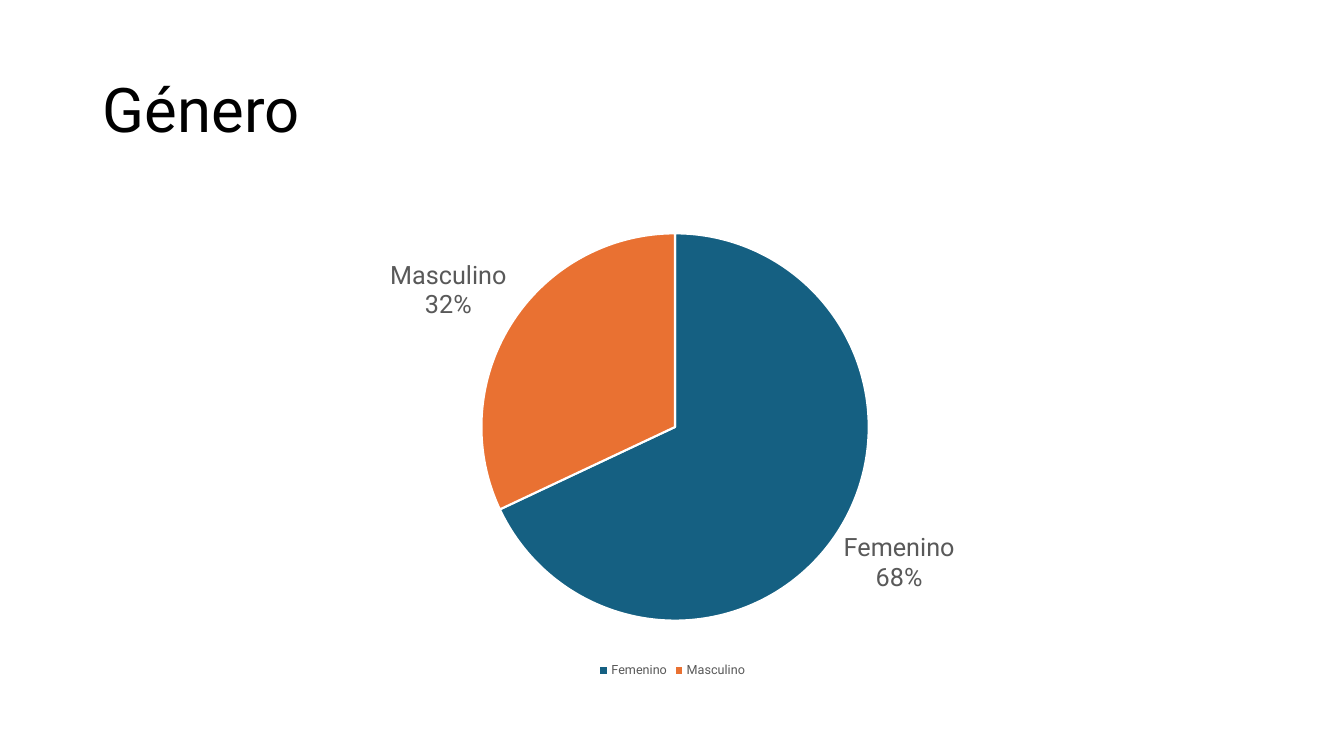
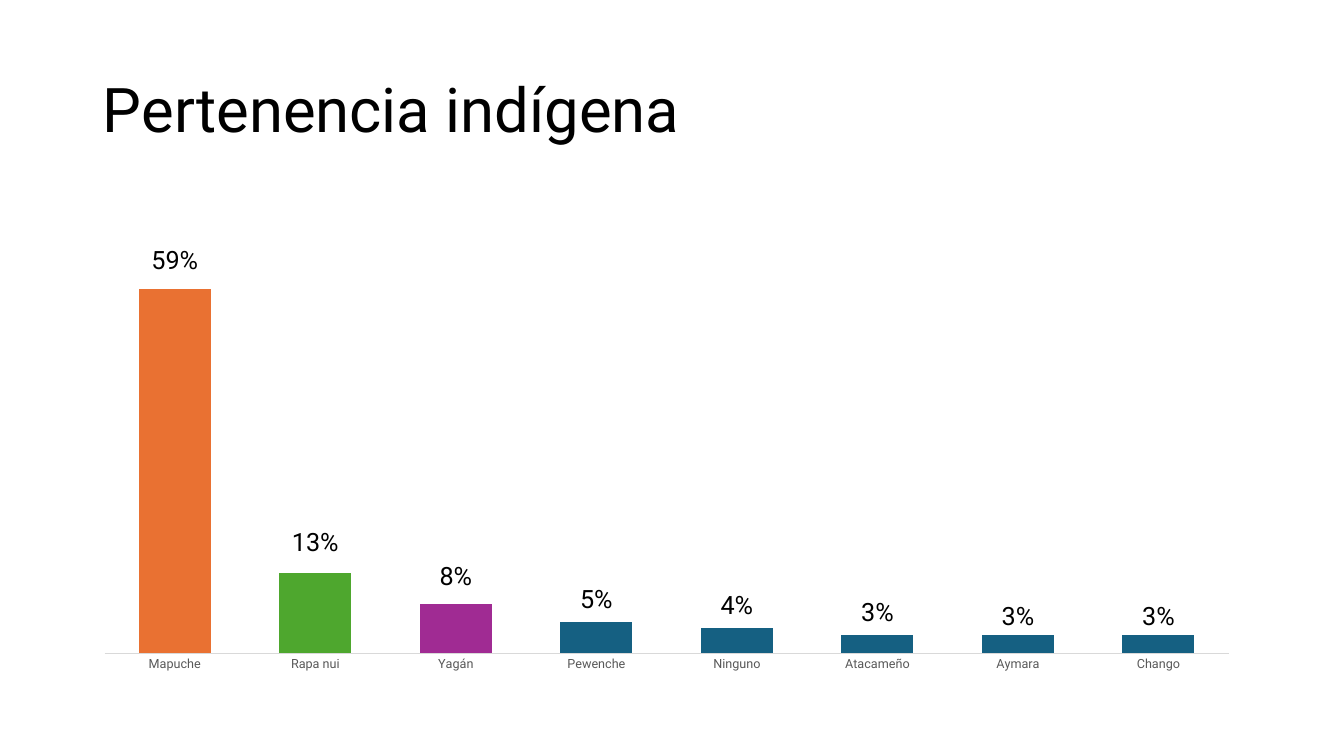
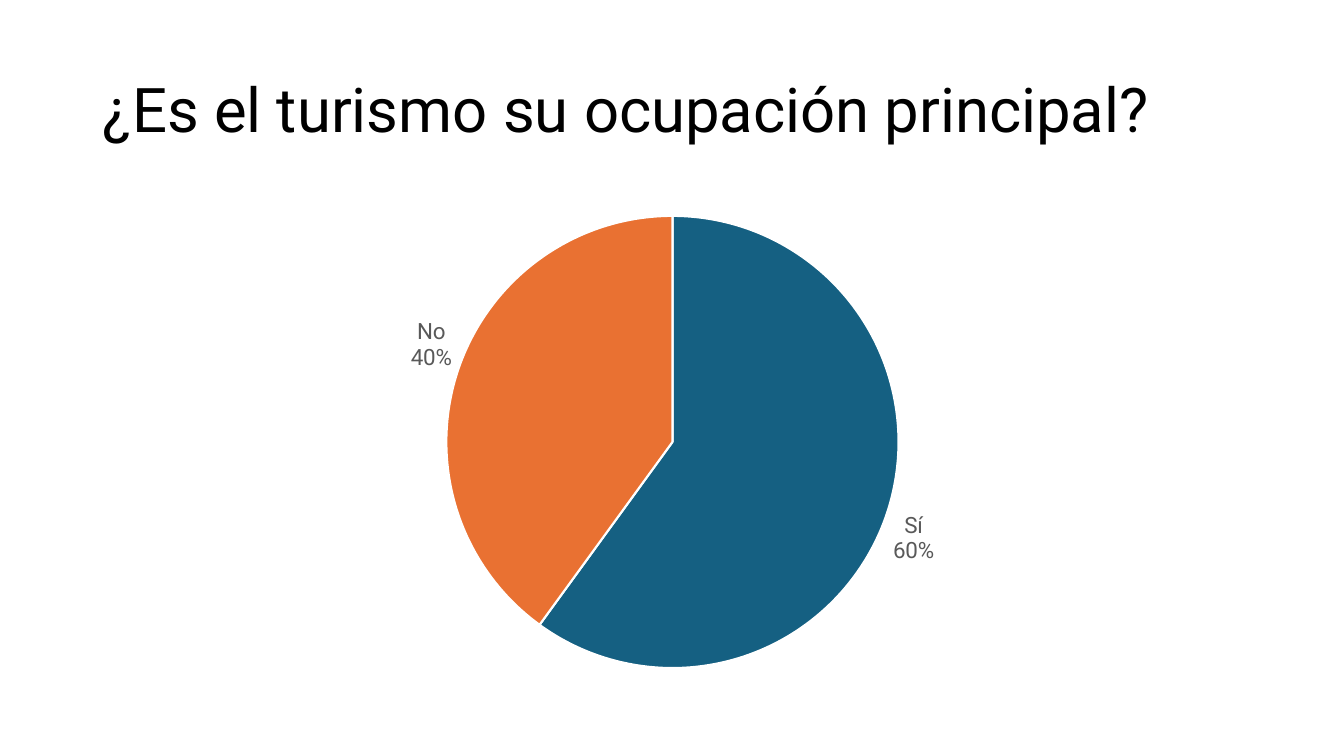
from dataclasses import dataclass

from lxml import etree
from pptx import Presentation
from pptx.chart.data import CategoryChartData
from pptx.dml.color import RGBColor
from pptx.enum.chart import XL_CHART_TYPE, XL_LABEL_POSITION, XL_LEGEND_POSITION, XL_TICK_MARK
from pptx.enum.text import MSO_ANCHOR
from pptx.oxml.ns import qn
from pptx.util import Emu, Pt

PIE = XL_CHART_TYPE.PIE
STACKED_COLUMNS = XL_CHART_TYPE.COLUMN_STACKED
OUTSIDE_END = XL_LABEL_POSITION.OUTSIDE_END
LEGEND_BOTTOM = XL_LEGEND_POSITION.BOTTOM
NO_TICK = XL_TICK_MARK.NONE
MIDDLE = MSO_ANCHOR.MIDDLE

EMU_PER_PX = 914400 / 100.8
SLIDE_SIZE = (1344, 756)
TITLE_BOX = (93, 40, 1159, 146)
CHART_BOX = (93, 202, 1159, 480)
PLOT_FRACTIONS = {"x": 0.01, "y": 0.04, "w": 0.97, "h": 0.9}


@dataclass(frozen=True)
class Theme:
    font: str = "Roboto"
    ink: str = "000000"
    muted: str = "595959"
    rule: str = "D9D9D9"
    paper: str = "FFFFFF"
    blue: str = "156082"
    orange: str = "E97132"
    green: str = "4EA72E"
    purple: str = "A02B93"
    title: int = 44
    large_label: int = 18
    medium_label: int = 16
    chart_text: int = 10
    small: int = 9


THEME = Theme()

PEOPLES = {
    "Mapuche": 0.59,
    "Rapa nui": 0.13,
    "Yagán": 0.08,
    "Pewenche": 0.05,
    "Ninguno": 0.04,
    "Atacameño": 0.03,
    "Aymara": 0.03,
    "Chango": 0.03,
}
LABEL_RISES = (210, 70, 51, 38, 35, 31, 27, 27)


def px(length):
    return Emu(round(length * EMU_PER_PX))


def box(lengths):
    return [px(length) for length in lengths]


def apply(target, **values):
    for name, value in values.items():
        setattr(target, name, value)


def style_font(font, size, color):
    apply(font, name=THEME.font, size=Pt(size))
    font.color.rgb = RGBColor.from_string(color)


def paint(part, color):
    part.format.fill.solid()
    part.format.fill.fore_color.rgb = RGBColor.from_string(color)


def draw_line(part, color, width):
    part.format.line.color.rgb = RGBColor.from_string(color)
    part.format.line.width = Pt(width)


def manual_layout(**values):
    layout = etree.Element(qn("c:layout"))
    manual = etree.SubElement(layout, qn("c:manualLayout"))
    for name, value in values.items():
        etree.SubElement(manual, qn(f"c:{name}")).set("val", str(value))
    return layout


def add_titled_slide(deck, heading):
    slide = deck.slides.add_slide(deck.slide_layouts[6])
    frame = slide.shapes.add_textbox(*box(TITLE_BOX)).text_frame
    apply(frame, word_wrap=True, vertical_anchor=MIDDLE)
    paragraph = frame.paragraphs[0]
    apply(paragraph, text=heading, line_spacing=0.9)
    style_font(paragraph.runs[0].font, THEME.title, THEME.ink)
    return slide


def add_chart(slide, kind, shares, number_format):
    data = CategoryChartData(number_format=number_format)
    data.categories = list(shares)
    data.add_series("Series 1", list(shares.values()))
    chart = slide.shapes.add_chart(kind, *box(CHART_BOX), data).chart
    apply(chart, has_title=False, has_legend=False)
    style_font(chart.font, THEME.chart_text, THEME.ink)
    return chart


def add_labels(series, size, color, **values):
    labels = series.data_labels
    apply(labels, number_format="0%", number_format_is_linked=False, **values)
    style_font(labels.font, size, color)
    for leader in series._element.xpath("c:dLbls/c:showLeaderLines"):
        leader.set("val", "0")


def add_pie(slide, shares, label_size):
    chart = add_chart(slide, PIE, shares, "General")
    plot = chart.plots[0]
    plot.vary_by_categories = True
    series = plot.series[0]
    for index, color in enumerate((THEME.blue, THEME.orange)):
        paint(series.points[index], color)
        draw_line(series.points[index], THEME.paper, 1.5)
    add_labels(series, label_size, THEME.muted, show_percentage=True,
               show_category_name=True, show_value=False, position=OUTSIDE_END)
    separator = etree.Element(qn("c:separator"))
    separator.text = "\n"
    series._element.xpath("c:dLbls/c:showBubbleSize")[0].addnext(separator)
    return chart


def add_legend(chart):
    chart.has_legend = True
    apply(chart.legend, position=LEGEND_BOTTOM, include_in_layout=False)
    style_font(chart.legend.font, THEME.small, THEME.muted)


def raise_labels(series, rises):
    for index, rise in enumerate(rises):
        style_font(series.points[index].data_label.font, THEME.large_label, THEME.ink)
    for label, rise in zip(series._element.xpath("c:dLbls/c:dLbl"), rises):
        offset = round(-rise / CHART_BOX[3], 3)
        label.find(qn("c:idx")).addnext(manual_layout(x=0, y=offset))


def place_plot(chart):
    area = chart._chartSpace.xpath("c:chart/c:plotArea")[0]
    for layout in area.xpath("c:layout"):
        area.remove(layout)
    area.insert(0, manual_layout(layoutTarget="inner", xMode="edge", yMode="edge",
                                 **PLOT_FRACTIONS))


def add_columns(slide, shares, highlights, rises):
    chart = add_chart(slide, STACKED_COLUMNS, shares, "0%")
    plot = chart.plots[0]
    apply(plot, gap_width=95, overlap=100, vary_by_categories=False)
    apply(chart.value_axis, visible=False, has_major_gridlines=False,
          minimum_scale=0, maximum_scale=0.7)
    axis = chart.category_axis
    apply(axis, major_tick_mark=NO_TICK, minor_tick_mark=NO_TICK)
    draw_line(axis, THEME.rule, 0.75)
    style_font(axis.tick_labels.font, THEME.small, THEME.muted)
    series = plot.series[0]
    paint(series, THEME.blue)
    for index, color in enumerate(highlights):
        paint(series.points[index], color)
    add_labels(series, THEME.large_label, THEME.ink, show_value=True)
    raise_labels(series, rises)
    place_plot(chart)


def main():
    deck = Presentation()
    width, height = box(SLIDE_SIZE)
    apply(deck, slide_width=width, slide_height=height)

    gender = add_titled_slide(deck, "Género")
    add_legend(add_pie(gender, {"Femenino": 68, "Masculino": 32}, THEME.large_label))

    peoples = add_titled_slide(deck, "Pertenencia indígena")
    add_columns(peoples, PEOPLES, (THEME.orange, THEME.green, THEME.purple), LABEL_RISES)

    occupation = add_titled_slide(deck, "¿Es el turismo su ocupación principal?")
    add_pie(occupation, {"Sí": 60, "No": 40}, THEME.medium_label)

    deck.save("out.pptx")


if __name__ == "__main__":
    main()
